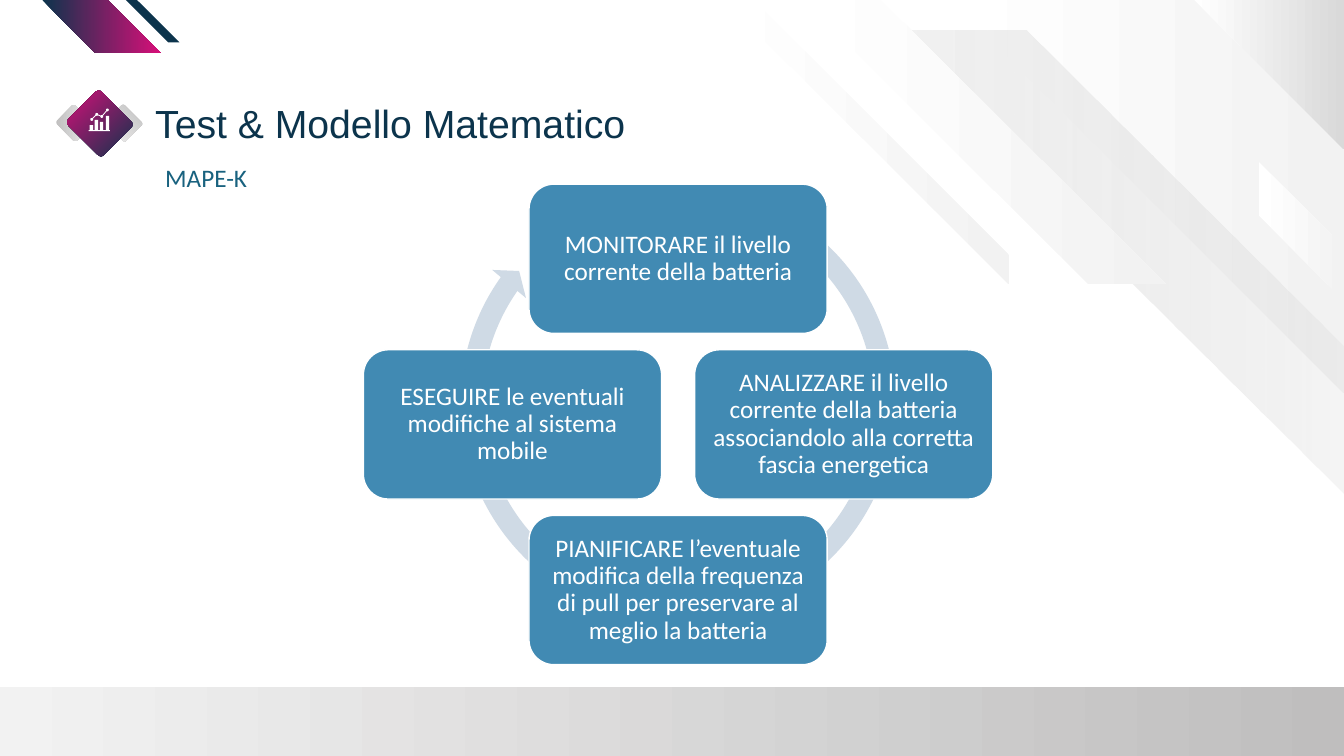
from itertools import pairwise
from lxml import etree
from pptx import Presentation
from pptx.dml.color import RGBColor
from pptx.enum.shapes import MSO_CONNECTOR as Connector, MSO_SHAPE as Shape
from pptx.enum.text import MSO_ANCHOR as Anchor, MSO_AUTO_SIZE as AutoSize, PP_ALIGN as Align
from pptx.oxml.ns import qn
from pptx.util import Pt

COLORS = {
    "white": "FFFFFF", "mist": "F2F2F2", "silver": "D9D9D9", "gray": "BFBEBE",
    "navy": "0C344C", "magenta": "D80F79", "teal": "19627F",
    "node": "418AB3", "arrow": "CFDAE5",
}


def rgb(name):
    return RGBColor.from_string(COLORS[name])


def paint(shape, *names, angle=0):
    """Fill with one colour, or with a gradient between two; no outline."""
    shape.shadow.inherit = False
    shape.line.fill.background()
    if len(names) == 1:
        shape.fill.solid()
        shape.fill.fore_color.rgb = rgb(names[0])
        return
    shape.fill.gradient()
    shape.fill.gradient_angle = angle
    for stop, name in zip(shape.fill.gradient_stops, names):
        stop.color.rgb = rgb(name)


def add_preset(page, kind, box, *names, angle=0):
    shape = page.shapes.add_shape(kind, *map(Pt, box))
    paint(shape, *names, angle=angle)
    return shape


def add_polygon(page, box, points, *names):
    left, top = box[:2]
    corners = [(Pt(left + x), Pt(top + y)) for x, y in points]
    builder = page.shapes.build_freeform(*corners[0])
    builder.add_line_segments(corners[1:], close=True)
    shape = builder.convert_to_shape()
    paint(shape, *names)
    return shape


def write(para, words, size, font, color):
    span = para.add_run()
    span.text = words
    span.font.size = Pt(size)
    span.font.name = font
    span.font.color.rgb = rgb(color)


def add_label(page, box, words, size, font, color, margins):
    label = page.shapes.add_textbox(*map(Pt, box))
    frame = label.text_frame
    frame.word_wrap = True
    frame.auto_size = AutoSize.SHAPE_TO_FIT_TEXT
    frame.margin_left, frame.margin_top, frame.margin_right, frame.margin_bottom = map(Pt, margins)
    write(frame.paragraphs[0], words, size, font, color)


def add_backdrop(page, box):
    left, top, width, height = box
    # Bottom band
    add_preset(page, Shape.RECTANGLE, (left, top + height - 49, width, 49),
               "gray", "mist", angle=180)
    # Diagonal bands
    add_polygon(page, box, [(width, 0), (679, 0), (width, 281)], "white", "mist")
    veil = add_polygon(page, box, [(width, 247.7), (733.7, 21.6), (627, 21.6), (width, 353.5)],
                       "mist", "silver")
    last_color = veil.fill._fill._gradFill.findall(".//" + qn("a:srgbClr"))[-1]
    etree.SubElement(last_color, qn("a:alpha")).set("val", "26000")
    for points, end in [
        ([(width, 176.4), (899.3, 115.9), (899.3, 154.1), (width, 214.6)], "mist"),
        ([(833, 203), (629.3, 0), (573.8, 0), (777.6, 203)], "mist"),
        ([(width, 0), (853.2, 0), (width, 106.6)], "silver"),
        ([(538.6, 0), (720.7, 182.2), (720.7, 203), (517, 0)], "mist"),
    ]:
        add_polygon(page, box, points, "white", end)


def add_corner_accent(page, box):
    add_polygon(page, box, [(0, 0), (38.2, 38.2), (85, 38.2), (46.8, 0)], "navy", "magenta")
    add_polygon(page, box, [(59.8, 0), (90, 30.2), (98, 30.2), (67.7, 0)], "navy")


def add_badge(page, box):
    left, top = box[:2]
    # Diamond tiles
    for x, y, width, height, turn, start, end, angle in [
        (0, 6.5, 18.7, 20.2, 315, "gray", "mist", 315),
        (35.3, 6.5, 18.7, 20.2, 315, "gray", "mist", 180),
        (9.4, 0, 36, 33.8, 45, "navy", "magenta", 180),
    ]:
        tile = add_preset(page, Shape.ROUNDED_RECTANGLE, (left + x, top + y, width, height),
                          start, end, angle=angle)
        tile.adjustments[0] = 0.09
        tile.rotation = turn
    # Bars on a base line
    base, floor, bar = 21.6, 22.3, 2.4
    outline = [(19.4, floor), (19.4, base)]
    for x, y in [(20.2, 18), (23.8, 14.4), (27.4, 15.8), (31.7, 11.5)]:
        outline += [(x, base), (x, y), (x + bar, y), (x + bar, base)]
    add_polygon(page, box, outline + [(34.6, base), (34.6, floor)], "white")
    # Trend line with dots
    dots = [(left + x, top + y) for x, y in [(21.6, 14), (25.2, 10.4), (28.8, 11.9), (32.8, 7.2)]]
    for start, end in pairwise(dots):
        link = page.shapes.add_connector(Connector.STRAIGHT, *map(Pt, start + end))
        link.line.color.rgb = rgb("white")
        link.line.width = Pt(0.6)
        etree.SubElement(link._element.spPr, qn("a:effectLst"))
    for x, y in dots:
        add_preset(page, Shape.OVAL, (x - 1, y - 1, 2, 2), "white")


def add_heading(page, box):
    left, top, width, height = box
    add_label(page, (left, top, width, 33.8), "Test & Modello Matematico",
              28, "Arial", "navy", (0, 0, 0, 0))
    add_label(page, (left, top + 41, 248.4, 28.8), "MAPE-K",
              18, "Calibri", "teal", (7.2, 3.6, 7.2, 3.6))


def add_cycle(page, box):
    left, top, width, height = box
    center_x, center_y = left + width / 2, top + height / 2
    node_width, node_height, step, ring = 213, 106.6, 118.3, 326.9
    # Ring arrow, a little above the middle of the nodes
    arrow = add_preset(page, Shape.CIRCULAR_ARROW,
                       (center_x - ring / 2, center_y - 15 - ring / 2, ring, ring), "arrow")
    for index, value in enumerate([0.047, 2.729, 129.14, 179.747, 0.048]):
        arrow.adjustments[index] = value
    # Four phases, clockwise from the top
    for across, down, words in [
        (0, -1, "MONITORARE il livello corrente della batteria"),
        (1, 0, "ANALIZZARE il livello corrente della batteria associandolo alla corretta fascia energetica"),
        (0, 1, "PIANIFICARE l’eventuale modifica della frequenza di pull per preservare al meglio la batteria"),
        (-1, 0, "ESEGUIRE le eventuali modifiche al sistema mobile"),
    ]:
        node = add_preset(page, Shape.ROUNDED_RECTANGLE,
                          (center_x + across * step - node_width / 2,
                           center_y + down * step - node_height / 2,
                           node_width, node_height), "node")
        node.line.color.rgb = rgb("white")
        node.line.width = Pt(1)
        frame = node.text_frame
        frame.word_wrap = True
        frame.vertical_anchor = Anchor.MIDDLE
        frame.margin_left = frame.margin_right = frame.margin_top = frame.margin_bottom = Pt(5)
        para = frame.paragraphs[0]
        para.alignment = Align.CENTER
        para.line_spacing = 0.9
        write(para, words, 18, "Calibri", "white")


def main():
    deck = Presentation()
    deck.slide_width, deck.slide_height = Pt(960), Pt(540)
    page = deck.slides.add_slide(deck.slide_layouts[6])
    add_backdrop(page, (0, 0, 960, 540))
    add_corner_accent(page, (30.2, 0, 98, 38.2))
    add_badge(page, (43.9, 71.3, 54, 33.8))
    add_heading(page, (110.9, 71.3, 447, 70))
    add_cycle(page, (260.6, 132.5, 447.6, 341.3))
    deck.save("out.pptx")


if __name__ == "__main__":
    main()
